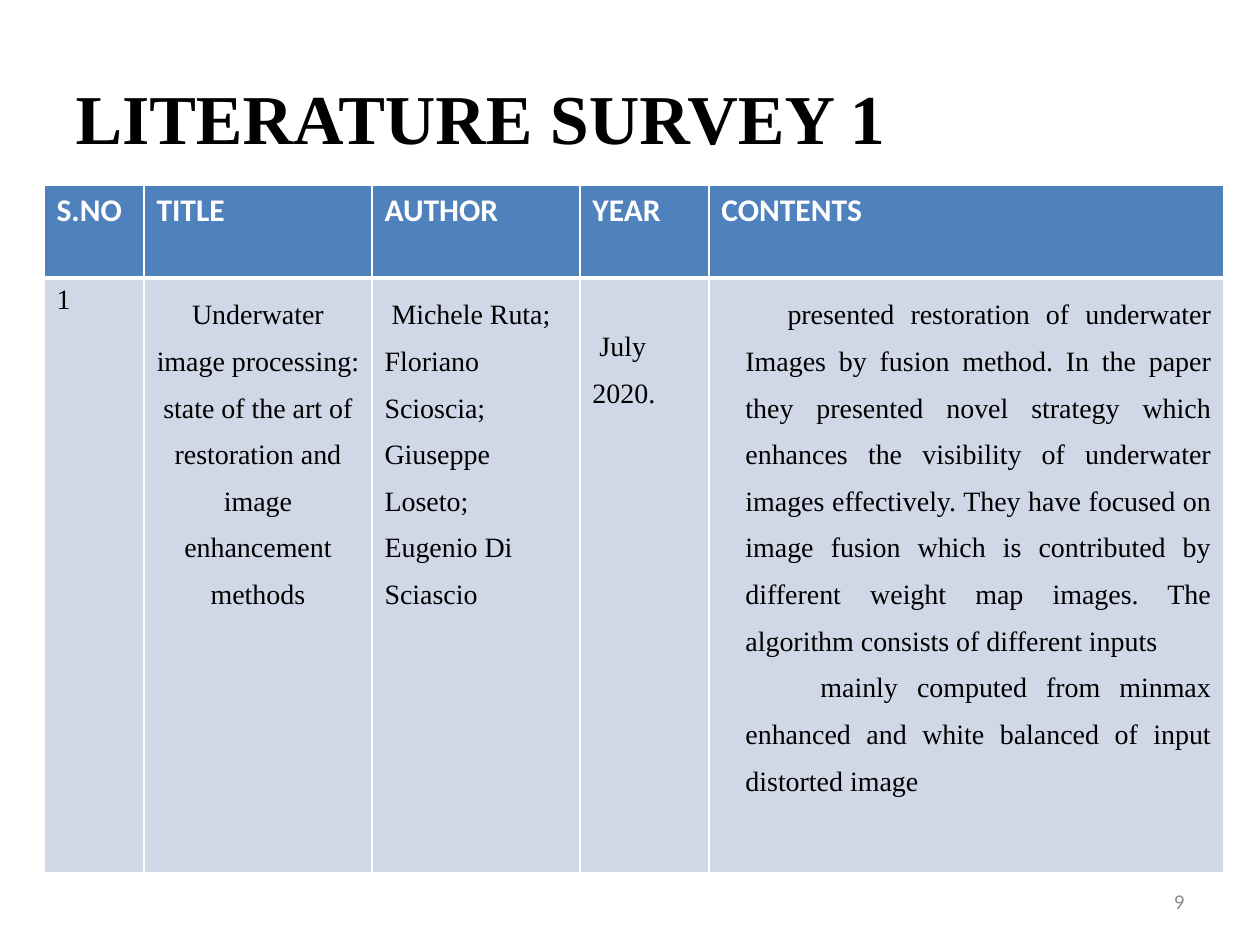
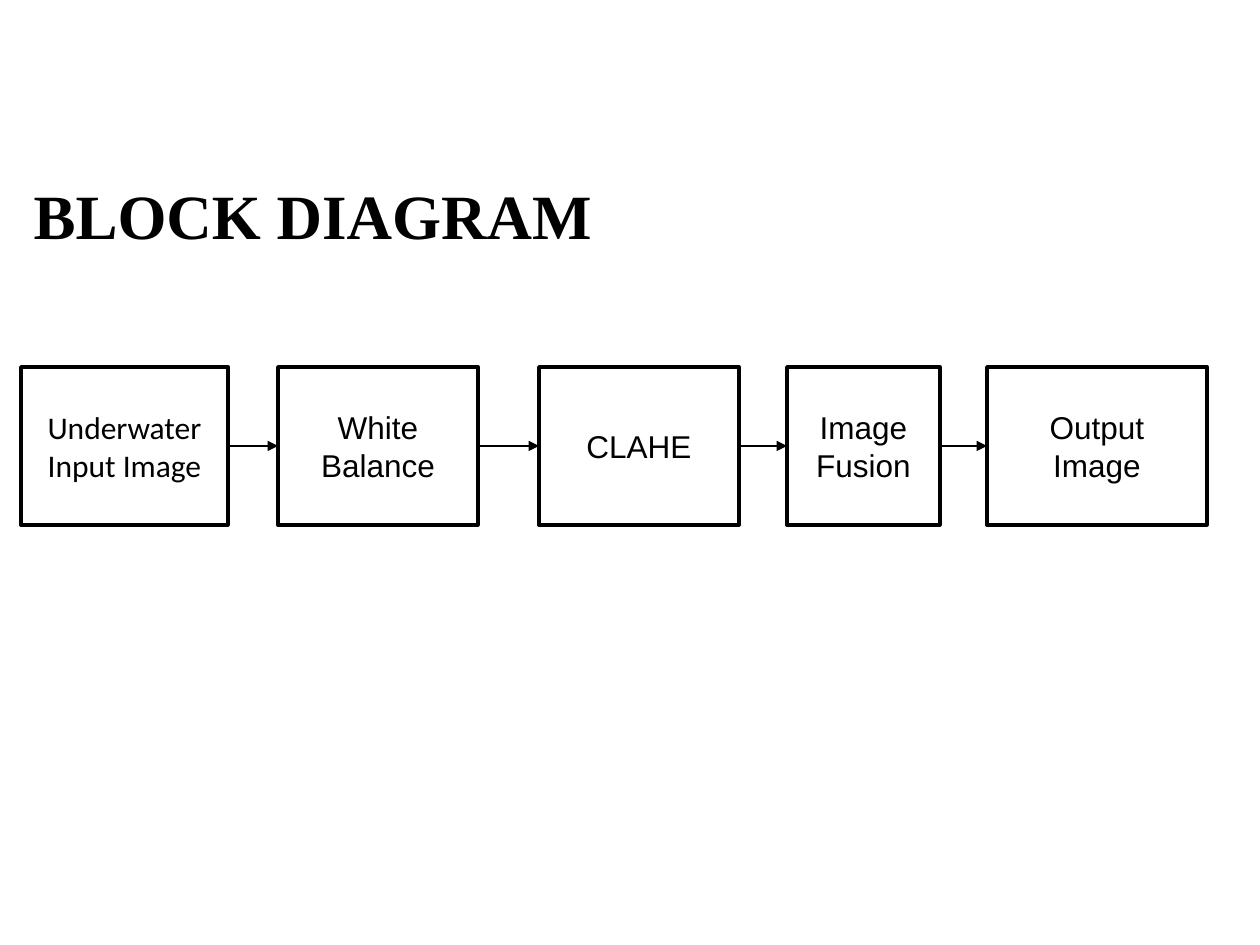
from lxml import etree
from pptx import Presentation
from pptx.dml.color import RGBColor
from pptx.enum import shapes, text
from pptx.oxml.ns import qn
from pptx.util import Pt

PX = 914400 // 126  # EMU per px
SERIF, SANS, ARIAL = "Times New Roman", "Calibri", "Arial"
BLACK, WHITE, GREY = "000000", "FFFFFF", "8C8C8C"
HEAD, BODY = "4F81BD", "D0D8E8"
LEFT, CENTER, RIGHT, JUSTIFY = (text.PP_ALIGN.LEFT, text.PP_ALIGN.CENTER,
                                text.PP_ALIGN.RIGHT, text.PP_ALIGN.JUSTIFY)
rgb = RGBColor.from_string


def add_run(p, words, size, font, color=BLACK, bold=False, align=LEFT):
    p.alignment = align
    r = p.add_run()
    r.text = words
    r.font.size, r.font.name, r.font.bold = Pt(size), font, bold
    r.font.color.rgb = rgb(color)


def add_titled_slide(prs, title, size, left, top):
    s = prs.slides.add_slide(prs.slide_layouts[5])
    sp = s.shapes.title
    sp.left, sp.top, sp.width, sp.height = left * PX, top * PX, 1134 * PX, 158 * PX
    tf = sp.text_frame
    tf.auto_size = text.MSO_AUTO_SIZE.NONE
    tf.vertical_anchor = text.MSO_ANCHOR.MIDDLE
    add_run(tf.paragraphs[0], title, size, SERIF, bold=True)
    return s


prs = Presentation()
prs.slide_width, prs.slide_height = 1260 * PX, 945 * PX

# Slide 1: literature survey
s = add_titled_slide(prs, "LITERATURE SURVEY 1", 40, 63, 38)

# Each column: heading, width, alignment, line spacing, left margin,
# and paragraphs with their first-line indents
columns = [
    ("S.NO", 100, LEFT, 1, 0, [("1", 0)]),
    ("TITLE", 228, CENTER, 1.5, 0,
     [("Underwater image processing: state of the art of restoration and "
       "image enhancement methods", 0)]),
    ("AUTHOR", 208, LEFT, 1.5, 0,
     [("Michele Ruta;", 7), ("Floriano Scioscia;", 0),
      ("Giuseppe Loseto;", 0), ("Eugenio Di Sciascio", 0)]),
    ("YEAR", 129, LEFT, 1.5, 0, [("July 2020.", 7)]),
    ("CONTENTS", 515, JUSTIFY, 1.5, 24,
     [("presented restoration of underwater Images by fusion method. In the "
       "paper they presented novel strategy which enhances the visibility of "
       "underwater images effectively. They have focused on image fusion which "
       "is contributed by different weight map images. The algorithm consists "
       "of different inputs", 42),
      ("mainly computed from minmax enhanced and white balanced of input "
       "distorted image", 75)]),
]
table = s.shapes.add_table(2, len(columns), 44 * PX, 185 * PX,
                           1180 * PX, 688 * PX).table
table.rows[0].height, table.rows[1].height = 93 * PX, 595 * PX

for i, (heading, width, align, spacing, margin, paragraphs) in enumerate(columns):
    table.columns[i].width = width * PX
    head, body = table.cell(0, i), table.cell(1, i)

    # White borders, thicker under the heading row
    for cell, fill, thick in ((head, HEAD, "lnB"), (body, BODY, "lnT")):
        tcPr = cell._tc.get_or_add_tcPr()
        for side in ("lnL", "lnR", "lnT", "lnB"):
            ln = etree.SubElement(tcPr, qn("a:" + side),
                                  w=str(Pt(3 if side == thick else 1)))
            solid = etree.SubElement(ln, qn("a:solidFill"))
            etree.SubElement(solid, qn("a:srgbClr"), val=WHITE)
        cell.fill.solid()
        cell.fill.fore_color.rgb = rgb(fill)

    add_run(head.text_frame.paragraphs[0], heading, 18, SANS, WHITE, True)
    tf = body.text_frame
    for n, (words, indent) in enumerate(paragraphs):
        p = tf.add_paragraph() if n else tf.paragraphs[0]
        p.line_spacing = spacing
        pPr = p._p.get_or_add_pPr()
        pPr.set("marL", str(margin * PX))
        pPr.set("indent", str(indent * PX))
        add_run(p, words, 16, SERIF, align=align)

# The year starts lower than its neighbours
table.cell(1, 3).margin_top = 38 * PX

# Page number
sp = s.shapes.add_textbox(903 * PX, 876 * PX, 294 * PX, 50 * PX)
tf = sp.text_frame
tf.word_wrap = True
tf.vertical_anchor = text.MSO_ANCHOR.MIDDLE
add_run(tf.paragraphs[0], "9", 12, SANS, GREY, align=RIGHT)

# Slide 2: block diagram
s = add_titled_slide(prs, "BLOCK DIAGRAM", 36, 21, 135)

# Each block: lines, left, width, font
blocks = [
    (["Underwater Input Image"], 21, 207, SANS),
    (["White Balance"], 278, 200, ARIAL),
    (["CLAHE"], 539, 200, ARIAL),
    (["Image Fusion"], 787, 153, ARIAL),
    (["Output", "Image"], 987, 220, ARIAL),
]
boxes = []
for lines, left, width, font in blocks:
    sp = s.shapes.add_shape(shapes.MSO_SHAPE.RECTANGLE,
                            left * PX, 367 * PX, width * PX, 158 * PX)
    sp.shadow.inherit = False
    sp.fill.solid()
    sp.fill.fore_color.rgb = rgb(WHITE)
    sp.line.color.rgb = rgb(BLACK)
    sp.line.width = Pt(2)
    tf = sp.text_frame
    tf.word_wrap = True
    tf.vertical_anchor = text.MSO_ANCHOR.MIDDLE
    tf.margin_left = tf.margin_right = 9 * PX
    tf.margin_top = tf.margin_bottom = 5 * PX
    for n, words in enumerate(lines):
        p = tf.add_paragraph() if n else tf.paragraphs[0]
        add_run(p, words, 18, font, align=CENTER)
    boxes.append(sp)

# Arrows from the right side of each block to the left side of the next
for start, end in zip(boxes, boxes[1:]):
    arrow = s.shapes.add_connector(shapes.MSO_CONNECTOR.STRAIGHT, 0, 0, 0, 0)
    arrow.begin_connect(start, 3)
    arrow.end_connect(end, 1)
    arrow.line.color.rgb = rgb(BLACK)
    arrow.line.width = Pt(0.75)
    etree.SubElement(arrow.line._get_or_add_ln(), qn("a:tailEnd"), type="triangle")
    etree.SubElement(arrow._element.spPr, qn("a:effectLst"))

prs.save("out.pptx")
